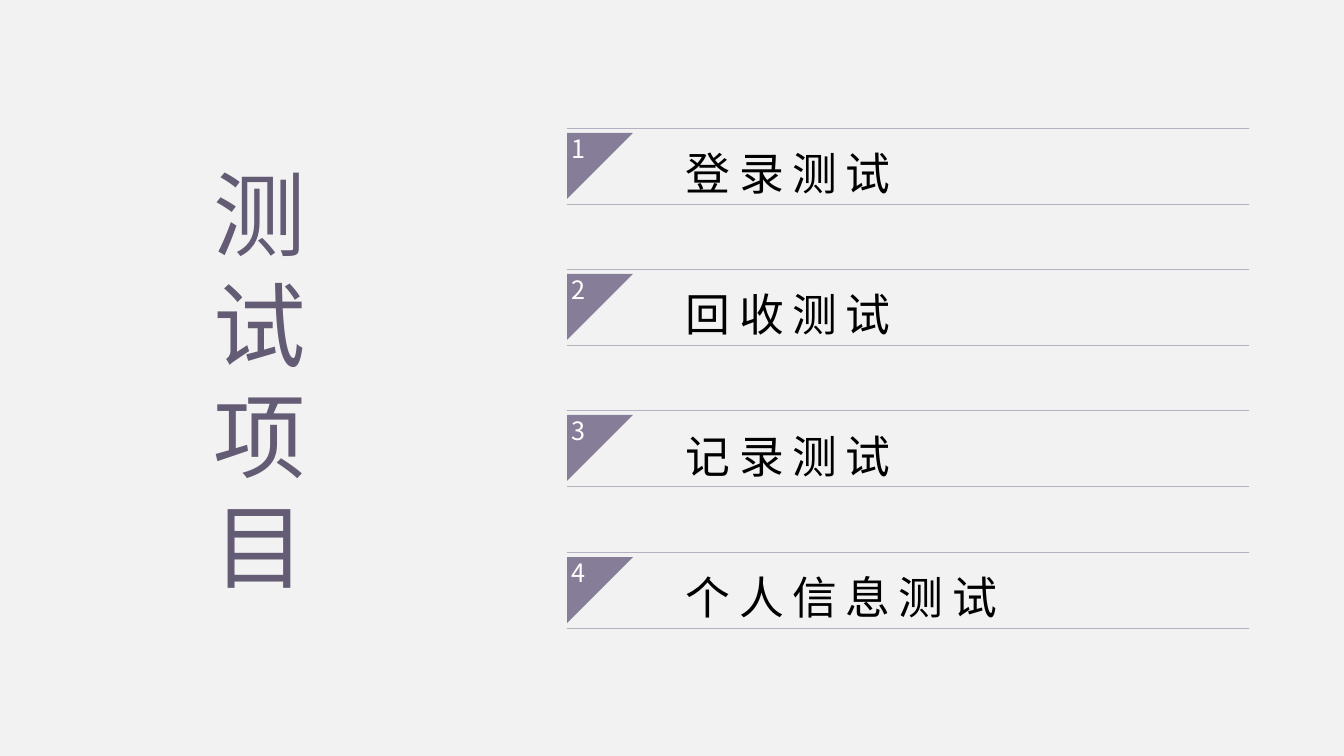
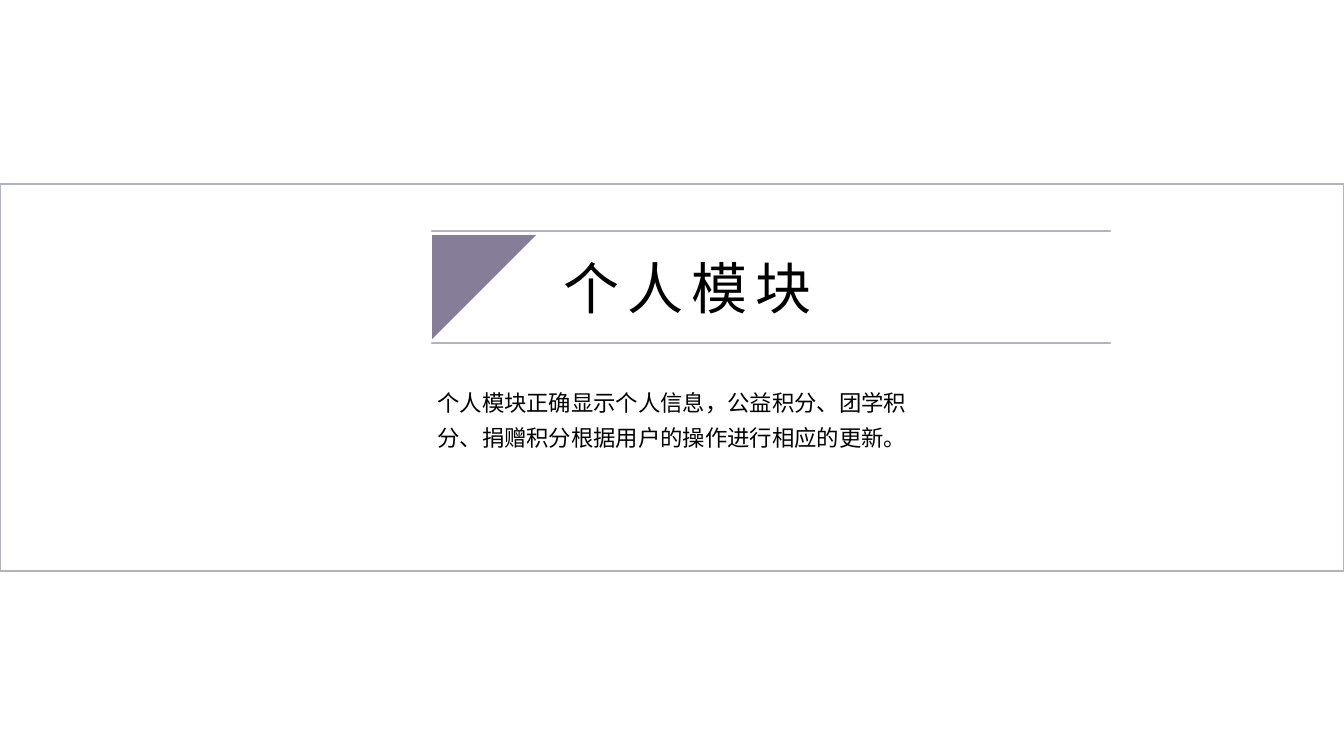
from lxml import etree
from pptx import Presentation
from pptx.dml.color import RGBColor
from pptx.enum.shapes import MSO_SHAPE
from pptx.enum.text import MSO_ANCHOR, MSO_AUTO_SIZE, PP_ALIGN
from pptx.oxml.ns import qn
from pptx.util import Emu, Pt

LEFT, CENTER = PP_ALIGN.LEFT, PP_ALIGN.CENTER
TOP, MIDDLE = MSO_ANCHOR.TOP, MSO_ANCHOR.MIDDLE
RECTANGLE = MSO_SHAPE.RECTANGLE

# Shared style
FONT = "Noto Sans CJK SC"
COLORS = {
    "page": "F2F2F2",
    "white": "FFFFFF",
    "black": "000000",
    "title": "645C74",
    "corner": "867D98",
    "rule": "B6B1C1",
    "frame": "B1B3C1",
}
WIDTH, HEIGHT = 1344, 756
SCALE = 12192000 / WIDTH


def px(length):
    return Emu(round(length * SCALE))


def color(name):
    return RGBColor.from_string(COLORS[name])


def write(shape, lines, *, box=None, size, line, fill="black", align=LEFT,
          anchor=TOP, inset=0, gap=0, tracking=0):
    """Fill a shape with one paragraph per line of text."""
    if box:
        shape.left, shape.top, shape.width, shape.height = map(px, box)
    frame = shape.text_frame
    frame.word_wrap = True
    frame.auto_size = MSO_AUTO_SIZE.NONE
    frame.vertical_anchor = anchor
    frame.margin_left = px(inset)
    frame.margin_top = frame.margin_right = frame.margin_bottom = 0
    for index, text in enumerate(lines):
        paragraph = frame.add_paragraph() if index else frame.paragraphs[0]
        properties = paragraph._p.get_or_add_pPr()
        properties.set("marL", "0")
        properties.set("indent", "0")
        etree.SubElement(properties, qn("a:buNone"))
        paragraph.alignment = align
        paragraph.line_spacing = Pt(line)
        paragraph.space_before = Pt(gap if index else 0)
        paragraph.space_after = Pt(0)
        run = paragraph.add_run()
        run.text = text
        run.font.size = Pt(size)
        run.font.color.rgb = color(fill)
        run.font.name = FONT
        run_properties = run._r.get_or_add_rPr()
        run_properties.set("spc", str(tracking * 100))
        etree.SubElement(run_properties, qn("a:ea")).set("typeface", FONT)


def add_band(slide, left, top, width, height, side, weight):
    """Draw a band open at both ends with a corner triangle; return the triangle."""
    right, bottom = left + width, top + height
    builder = slide.shapes.build_freeform(px(left), px(bottom))
    builder.add_line_segments([(px(right), px(bottom))])
    builder.move_to(px(left), px(top))
    builder.add_line_segments([(px(right), px(top))])
    band = builder.convert_to_shape()
    band.shadow.inherit = False
    band.fill.background()
    band.line.color.rgb = color("rule")
    band.line.width = Pt(weight)

    corner_top = top + (height - side) // 2
    builder = slide.shapes.build_freeform(px(left), px(corner_top))
    builder.add_line_segments([(px(left + side), px(corner_top)),
                               (px(left), px(corner_top + side))])
    corner = builder.convert_to_shape()
    corner.shadow.inherit = False
    corner.fill.solid()
    corner.fill.fore_color.rgb = color("corner")
    corner.line.fill.background()
    return corner


presentation = Presentation()
presentation.slide_width, presentation.slide_height = px(WIDTH), px(HEIGHT)
layout = presentation.slide_layouts.get_by_name("Title and Content")
slides = []
for background in ("page", "white"):
    slide = presentation.slides.add_slide(layout)
    slide.background.fill.solid()
    slide.background.fill.fore_color.rgb = color(background)
    slides.append(slide)
agenda, section = slides

# Slide 1: vertical title and the list of tests
tests = ["登录测试", "回收测试", "记录测试", "个人信息测试"]
write(agenda.shapes.title, ["测试项目"], box=(181, 149, 158, 460), size=66,
      line=79, fill="title", align=CENTER, anchor=MIDDLE)
write(agenda.placeholders[1], tests, box=(686, 135, 563, 490), size=32,
      line=46, gap=55, tracking=6)

first_top, last_top = 128, 552
for index in range(len(tests)):
    top = first_top + (last_top - first_top) * index // (len(tests) - 1)
    corner = add_band(agenda, 567, top, 682, 76, side=66, weight=0.25)
    write(corner, [str(index + 1)], size=18, line=21.5, fill="white", inset=4)

# Slide 2: framed band behind the section title and its text
frame_band = section.shapes.add_shape(RECTANGLE, 0, px(184), px(WIDTH), px(387))
frame_band.shadow.inherit = False
frame_band.fill.solid()
frame_band.fill.fore_color.rgb = color("white")
fill_color = frame_band.element.spPr.find(qn("a:solidFill"))[0]
etree.SubElement(fill_color, qn("a:alpha")).set("val", "80000")
frame_band.line.color.rgb = color("frame")
frame_band.line.width = Pt(1)
section.shapes.title.element.addprevious(frame_band.element)

add_band(section, 432, 231, 678, 112, side=104, weight=2)
write(section.shapes.title, ["个人模块"], box=(563, 254, 547, 67), size=40,
      line=48, tracking=6)
write(section.placeholders[1],
      ["个人模块正确显示个人信息，公益积分、团学积分、捐赠积分根据用户的操作进行相应的更新。"],
      box=(436, 381, 472, 190), size=16, line=25, align=CENTER)

presentation.save("out.pptx")
